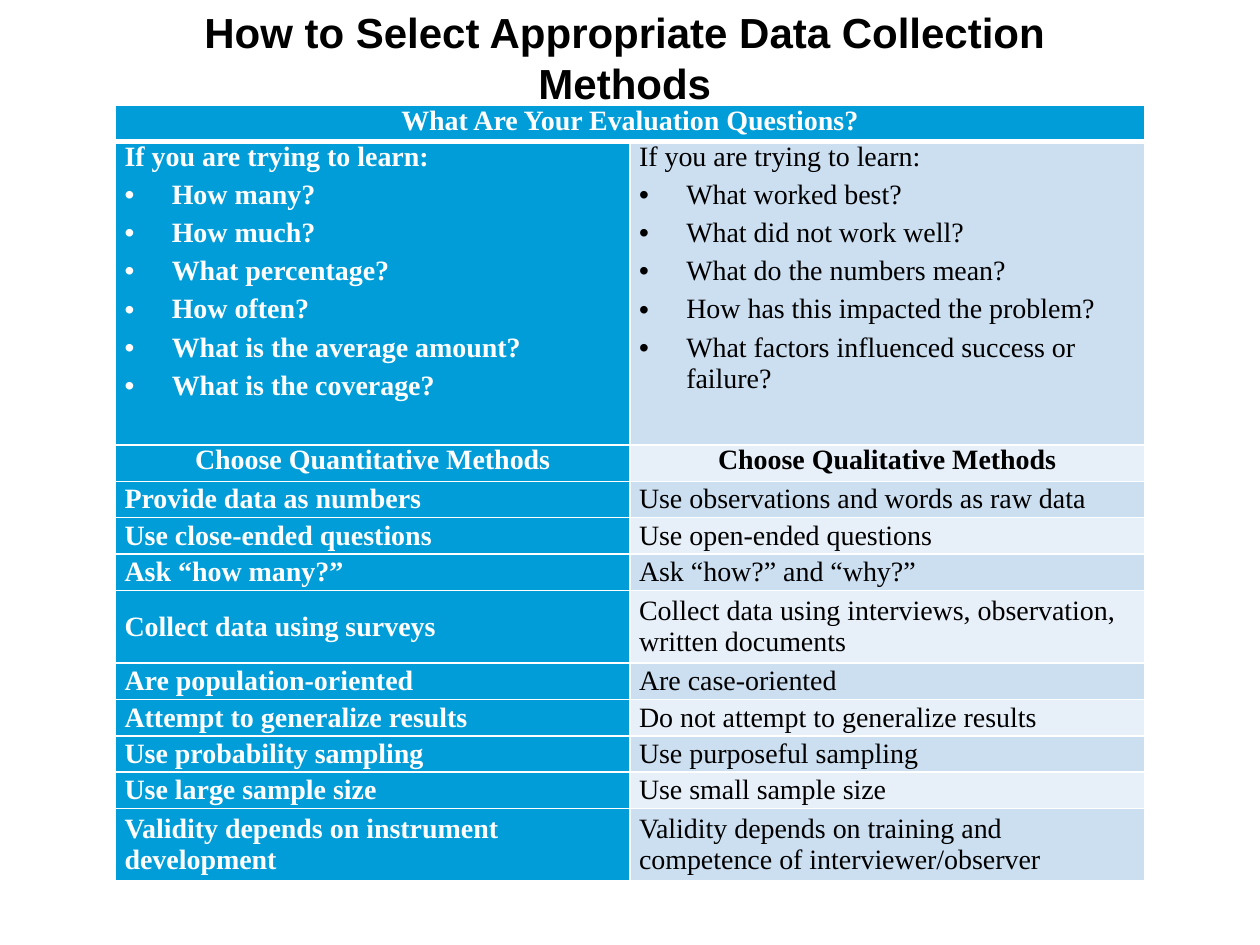
from lxml.etree import SubElement
from pptx import Presentation
from pptx.dml.color import RGBColor as RGB
from pptx.enum.text import MSO_ANCHOR as ANCHOR, MSO_AUTO_SIZE as AUTO, PP_ALIGN as ALIGN
from pptx.oxml.ns import qn
from pptx.util import Pt

# Content
TITLE = "How to Select Appropriate Data Collection Methods"
HEADING = "What Are Your Evaluation Questions?"
LEAD = "If you are trying to learn:"
QUESTIONS = (
    ["How many?", "How much?", "What percentage?", "How often?",
     "What is the average amount?", "What is the coverage?"],
    ["What worked best?", "What did not work well?", "What do the numbers mean?",
     "How has this impacted the problem?", "What factors influenced success or failure?"],
)
METHODS = ("Choose Quantitative Methods", "Choose Qualitative Methods")
COMPARISON = [
    ("Provide data as numbers", "Use observations and words as raw data"),
    ("Use close-ended questions", "Use open-ended questions"),
    ("Ask “how many?”", "Ask “how?” and “why?”"),
    ("Collect data using surveys", "Collect data using interviews, observation, written documents"),
    ("Are population-oriented", "Are case-oriented"),
    ("Attempt to generalize results", "Do not attempt to generalize results"),
    ("Use probability sampling", "Use purposeful sampling"),
    ("Use large sample size", "Use small sample size"),
    ("Validity depends on instrument development",
     "Validity depends on training and competence of interviewer/observer"),
]

THEME = {
    "title_font": "Arial", "title_size": 24,
    "table_font": "Times New Roman", "table_size": 16,
    "blue": "009DD9", "bands": ("E7EFF8", "CCDFF1"),
    "white": "FFFFFF", "black": "000000",
}

# Geometry in points
TITLE_BOX = {"left": 60, "top": 0, "width": 594, "height": 65.5}
TABLE_LEFT, TABLE_TOP, COL_W = 66, 60, 294
LINE_H, QUESTIONS_H, DOUBLE_H = 20.8, 173.5, 41.5
DOUBLE_ROWS = (6, 11)
INDENT = 27


def set_attrs(obj, values):
    for name, value in values.items():
        setattr(obj, name, value)


def style_run(r, font, size, color, bold):
    set_attrs(r.font, {"name": font, "size": Pt(size), "bold": bold})
    r.font.color.rgb = RGB.from_string(color)


def add_bullet(p):
    pPr = p._p.get_or_add_pPr()
    pPr.set("marL", str(Pt(INDENT)))
    pPr.set("indent", str(-Pt(INDENT)))
    SubElement(pPr, qn("a:buFont"), typeface="Arial")
    SubElement(pPr, qn("a:buChar"), char="•")


def set_borders(cell, bottom=1):
    tcPr = cell._tc.get_or_add_tcPr()
    for i, (side, width) in enumerate((("L", 1), ("R", 1), ("T", 1), ("B", bottom))):
        ln = SubElement(tcPr, qn(f"a:ln{side}"), w=str(Pt(width)))
        fill = SubElement(ln, qn("a:solidFill"))
        SubElement(fill, qn("a:srgbClr"), val=THEME["white"])
        tcPr.insert(i, ln)


def fill_cell(cell, lines, fill, color, bold, align, anchor):
    """Write the lines; every line after the first is a bullet."""
    set_attrs(cell, {"margin_left": Pt(5.2), "margin_right": Pt(5.2), "margin_top": 0,
                     "margin_bottom": 0, "vertical_anchor": anchor})
    cell.fill.solid()
    cell.fill.fore_color.rgb = RGB.from_string(fill)
    tf = cell.text_frame
    for i, text in enumerate(lines):
        p = tf.add_paragraph() if i else tf.paragraphs[0]
        set_attrs(p, {"alignment": align, "space_before": Pt(2), "space_after": Pt(2)})
        if i:
            add_bullet(p)
        r = p.add_run()
        r.text = text
        style_run(r, THEME["table_font"], THEME["table_size"], color, bold)


def add_title(s):
    sp = s.shapes.title
    set_attrs(sp, {k: Pt(v) for k, v in TITLE_BOX.items()})
    tf = sp.text_frame
    set_attrs(tf, {"word_wrap": True, "auto_size": AUTO.NONE, "vertical_anchor": ANCHOR.MIDDLE})
    p = tf.paragraphs[0]
    p.alignment = ALIGN.CENTER
    r = p.add_run()
    r.text = TITLE
    style_run(r, THEME["title_font"], THEME["title_size"], THEME["black"], True)


def add_comparison(s):
    rows = [([HEADING], []), tuple([LEAD] + q for q in QUESTIONS)]
    rows += [([left], [right]) for left, right in [METHODS] + COMPARISON]
    heights = [QUESTIONS_H if i == 1 else DOUBLE_H if i in DOUBLE_ROWS else LINE_H
               for i in range(len(rows))]
    table = s.shapes.add_table(len(rows), 2, Pt(TABLE_LEFT), Pt(TABLE_TOP),
                               Pt(2 * COL_W), Pt(sum(heights))).table
    for col in table.columns:
        col.width = Pt(COL_W)
    table.cell(0, 0).merge(table.cell(0, 1))

    for i, (row, height) in enumerate(zip(rows, heights)):
        table.rows[i].height = Pt(height)
        heading = i in (0, 2)
        align = ALIGN.CENTER if heading else ALIGN.LEFT
        anchor = ANCHOR.TOP if i < 3 else ANCHOR.MIDDLE
        for j, lines in enumerate(row):
            cell = table.cell(i, j)
            blue = j == 0 or i == 0
            fill = THEME["blue"] if blue else THEME["bands"][i % 2]
            color = THEME["white"] if blue else THEME["black"]
            fill_cell(cell, lines, fill, color, blue or heading, align, anchor)
            set_borders(cell, bottom=1 if i else 3)


def main():
    prs = Presentation()
    prs.slide_width, prs.slide_height = Pt(720), Pt(540)
    s = prs.slides.add_slide(prs.slide_layouts[5])
    add_comparison(s)
    add_title(s)
    prs.save("out.pptx")


if __name__ == "__main__":
    main()
